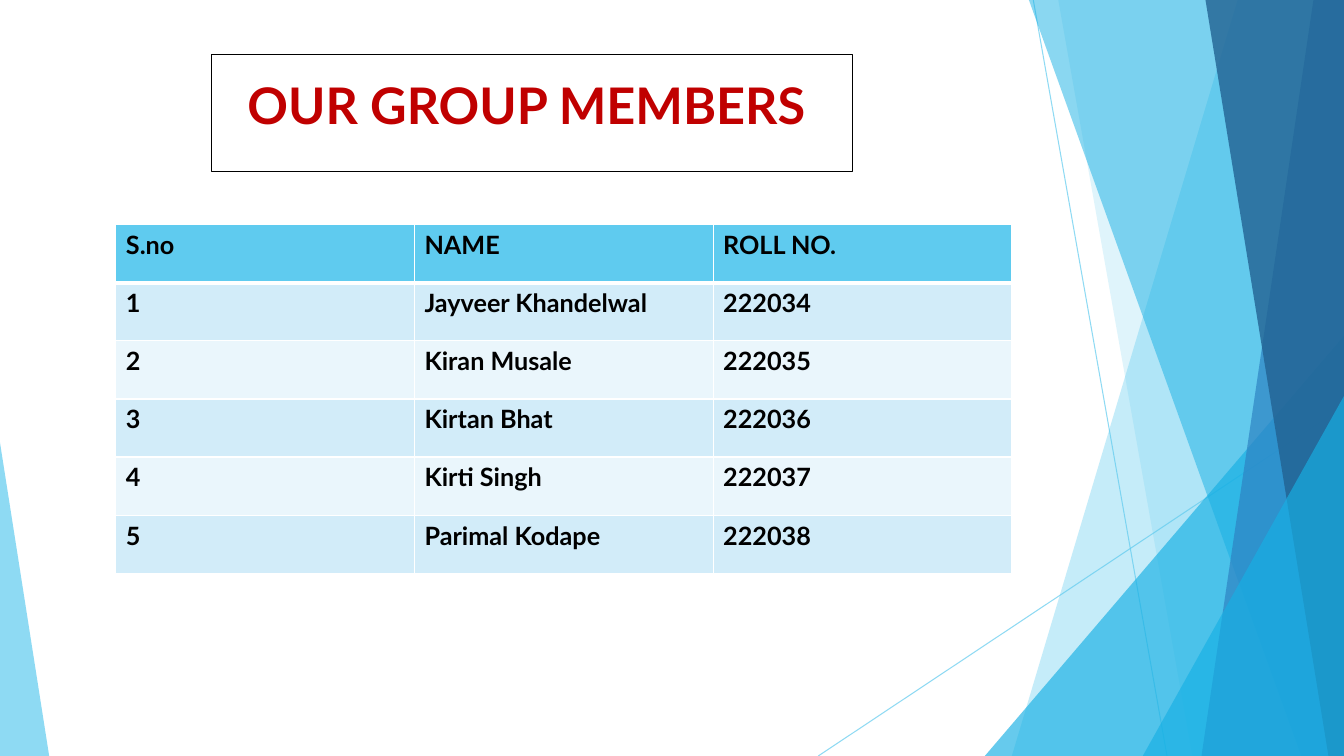
"""Build a group members slide with a faceted blue backdrop."""
from lxml import etree
from pptx import Presentation
from pptx import util as u
from pptx.dml.color import RGBColor
from pptx.enum import shapes, text
from pptx.oxml.ns import qn

TITLE = "OUR GROUP MEMBERS"
MEMBERS = [
    ("S.no", "NAME", "ROLL NO."),
    ("1", "Jayveer Khandelwal", "222034"),
    ("2", "Kiran Musale", "222035"),
    ("3", "Kirtan Bhat", "222036"),
    ("4", "Kirti Singh", "222037"),
    ("5", "Parimal Kodape", "222038"),
]
FONT = "Lato"
COLOURS = {
    "sky": "5FCBEF", "cyan": "17B0E4", "blue": "2E83C3", "navy": "226292",
    "title": "C00000", "text": "000000", "grid": "FFFFFF",
    "odd": "D2ECF9", "even": "EAF6FC",
}
WIDTH, HEIGHT = 33.87, 19.05
TITLE_AREA = (4.17, 1.73, 18.19, 1.8)
FRAME_AREA = (5.33, 1.37, 16.15, 2.95)
TABLE_AREA = (2.92, 5.66, 22.58, 8.79)

RAYS = [(26.04, 0, 29.41, HEIGHT), (WIDTH, 10.24, 20.62, HEIGHT)]
# band: top x, bottom x; wedge: left, top, width, apex position
FACETS = [
    ("band", (31.19, 25.5), "sky", 36),
    ("band", (26.67, 30.05), "sky", 20),
    ("wedge", (24.82, 8.46, 9.05, 1), "cyan", 66),
    ("band", (25.93, 32.79), "cyan", 50),
    ("band", (33.1, 30.28), "blue", 70),
    ("band", (30.38, 33.48), "navy", 80),
    ("wedge", (28.8, 9.98, 5.07, 1), "cyan", 66),
    ("wedge", (0, 11.15, 1.24, 0), "sky", 70),
]


def colour(name):
    return RGBColor.from_string(COLOURS[name])


def lengths(values):
    return [u.Cm(value) for value in values]


def set_opacity(fill_parent, percent):
    for tint in fill_parent.iter(qn("a:srgbClr")):
        etree.SubElement(tint, qn("a:alpha"), val=str(percent * 1000))


def add_ray(page, ends):
    ray = page.shapes.add_connector(shapes.MSO_CONNECTOR.STRAIGHT, *lengths(ends))
    ray.line.color.rgb = colour("sky")
    ray.line.width = u.Pt(0.75)
    properties = ray._element.spPr
    set_opacity(properties, 70)
    etree.SubElement(properties, qn("a:effectLst"))


def add_facet(page, kind, geometry, tint, opacity):
    if kind == "band":
        top_x, bottom_x = geometry
        corners = [(WIDTH, 0), (WIDTH, HEIGHT), (bottom_x, HEIGHT)]
        builder = page.shapes.build_freeform(u.Cm(top_x), 0)
        builder.add_line_segments([lengths(corner) for corner in corners])
        facet = builder.convert_to_shape()
    else:
        left, top, width, apex = geometry
        facet = page.shapes.add_shape(
            shapes.MSO_SHAPE.ISOSCELES_TRIANGLE,
            *lengths((left, top, width, HEIGHT - top)))
        facet.adjustments[0] = apex
    facet.shadow.inherit = False
    facet.fill.solid()
    facet.fill.fore_color.rgb = colour(tint)
    facet.line.fill.background()
    set_opacity(facet._element.spPr, opacity)


def style_paragraph(para, size, tint):
    para.font.name = FONT
    para.font.size = u.Pt(size)
    para.font.bold = True
    para.font.color.rgb = colour(tint)


def add_title(page):
    title = page.shapes.title
    title.left, title.top, title.width, title.height = lengths(TITLE_AREA)
    frame = title.text_frame
    frame.text = TITLE
    frame.word_wrap = True
    frame.auto_size = text.MSO_AUTO_SIZE.SHAPE_TO_FIT_TEXT
    frame.vertical_anchor = text.MSO_ANCHOR.MIDDLE
    para = frame.paragraphs[0]
    para.alignment = text.PP_ALIGN.CENTER
    style_paragraph(para, 36, "title")

    border = page.shapes.add_shape(shapes.MSO_SHAPE.RECTANGLE, *lengths(FRAME_AREA))
    border.shadow.inherit = False
    border.fill.background()
    border.line.color.rgb = colour("text")
    border.line.width = u.Pt(0.75)


def set_borders(cell, bottom, top):
    properties = cell._tc.get_or_add_tcPr()
    sides = (("lnL", 1), ("lnR", 1), ("lnT", top), ("lnB", bottom))
    for index, (side, points) in enumerate(sides):
        edge = etree.Element(qn(f"a:{side}"), w=str(u.Pt(points)))
        fill = etree.SubElement(edge, qn("a:solidFill"))
        etree.SubElement(fill, qn("a:srgbClr"), val=COLOURS["grid"])
        properties.insert(index, edge)


def add_members(page):
    table = page.shapes.add_table(
        len(MEMBERS), len(MEMBERS[0]), *lengths(TABLE_AREA)).table
    for row, member in enumerate(MEMBERS):
        tint = "sky" if row == 0 else ("odd" if row % 2 else "even")
        for column, entry in enumerate(member):
            cell = table.cell(row, column)
            cell.text = entry
            style_paragraph(cell.text_frame.paragraphs[0], 18, "text")
            cell.fill.solid()
            cell.fill.fore_color.rgb = colour(tint)
            set_borders(cell, bottom=3 if row == 0 else 1, top=3 if row == 1 else 1)


def main():
    deck = Presentation()
    deck.slide_width, deck.slide_height = lengths((WIDTH, HEIGHT))
    page = deck.slides.add_slide(deck.slide_layouts.get_by_name("Title Only"))
    for ends in RAYS:
        add_ray(page, ends)
    for facet in FACETS:
        add_facet(page, *facet)
    add_title(page)
    add_members(page)
    deck.save("out.pptx")


if __name__ == "__main__":
    main()
